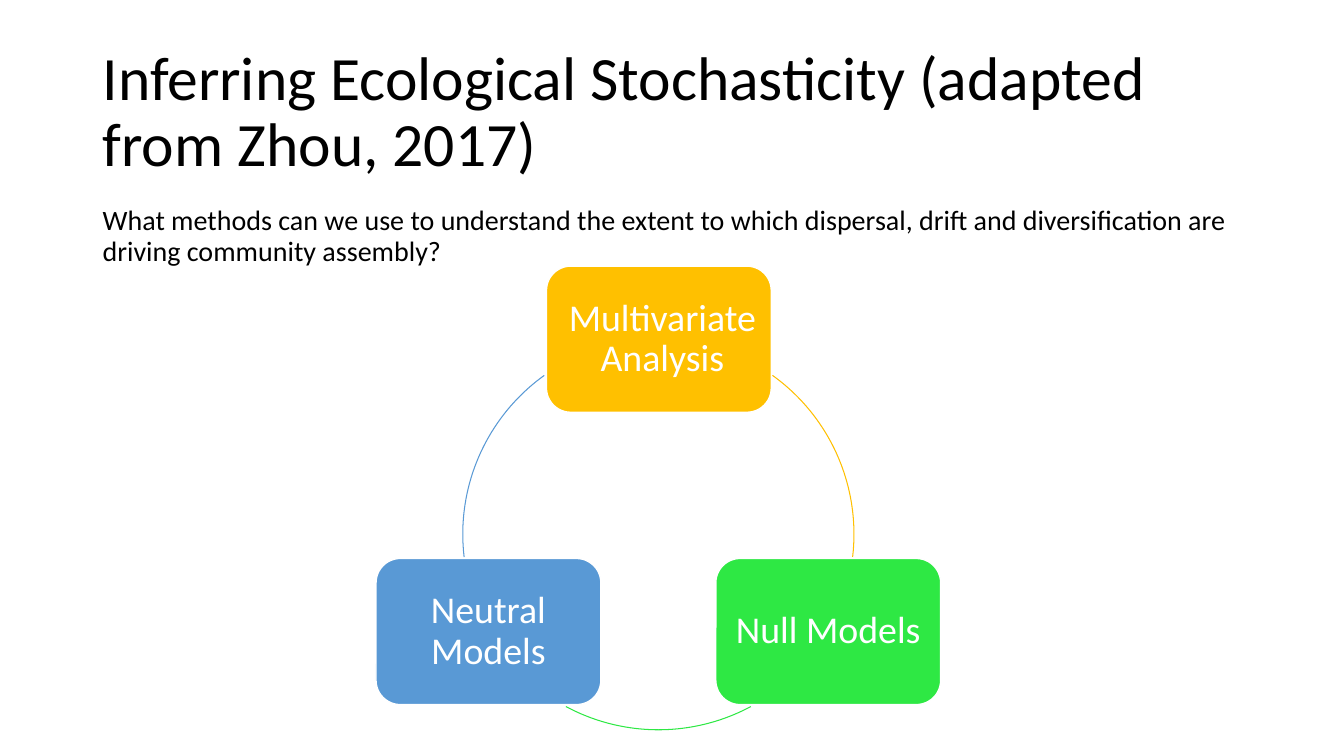
from math import cos, sin, radians
from pptx import Presentation
from pptx.dml.color import RGBColor as Rgb
from pptx.enum.shapes import MSO_SHAPE as Shape
from pptx.enum.text import MSO_ANCHOR as Anchor, PP_ALIGN as Align
from pptx.util import Pt

PX = 9144
THEME = {
    "font": "Calibri", "ink": "000000", "paper": "FFFFFF",
    "gold": "FFC000", "green": "2EE844", "blue": "5999D5",
    "title": 44, "body": 20, "label": 27, "edge": 1, "arc": 0.75,
}


def write(shape, text, size, ink, align, anchor, pads):
    frame = shape.text_frame
    sides = ("margin_left", "margin_top", "margin_right", "margin_bottom")
    style = {"word_wrap": True, "vertical_anchor": anchor}
    style.update((side, pad * PX) for side, pad in zip(sides, pads))
    for key, val in style.items():
        setattr(frame, key, val)
    para = frame.paragraphs[0]
    para.alignment = align
    para.line_spacing = 0.9
    run = para.add_run()
    run.text = text
    for key, val in {"name": THEME["font"], "size": Pt(size)}.items():
        setattr(run.font, key, val)
    run.font.color.rgb = Rgb.from_string(ink)


def draw(kind, box, line, width):
    shape = slide.shapes.add_shape(kind, *(n * PX for n in box))
    shape.shadow.inherit = False
    shape.line.color.rgb = Rgb.from_string(line)
    shape.line.width = Pt(width)
    return shape


deck = Presentation()
deck.slide_width, deck.slide_height = 1333 * PX, 750 * PX
slide = deck.slides.add_slide(deck.slide_layouts[6])

heads = [
    ("Inferring Ecological Stochasticity (adapted from Zhou, 2017)",
     "title", 40, 145, Anchor.MIDDLE),
    ("What methods can we use to understand the extent to which dispersal, "
     "drift and diversification are driving community assembly?",
     "body", 200, 95, Anchor.TOP),
]
for text, size, top, high, anchor in heads:
    box = slide.shapes.add_textbox(92 * PX, top * PX, 1150 * PX, high * PX)
    write(box, text, THEME[size], THEME["ink"], Align.LEFT, anchor, (10, 5, 10, 5))

MID_X, MID_Y, RADIUS = 653, 530, 194
WIDE, HIGH = 223, 145
ring = (MID_X - RADIUS, MID_Y - RADIUS, 2 * RADIUS, 2 * RADIUS)
nodes = [
    ("Multivariate Analysis", "gold", 4, 305.7, 6.7),
    ("Null Models", "green", 11, 61.8, 118.2),
    ("Neutral Models", "blue", 11, 173.3, 234.3),
]
for step, (text, hue, right, start, end) in enumerate(nodes):
    turn = radians(120 * step - 90)
    left = round(MID_X + RADIUS * cos(turn) - WIDE / 2)
    top = round(MID_Y + RADIUS * sin(turn) - HIGH / 2)
    node = draw(Shape.ROUNDED_RECTANGLE, (left, top, WIDE, HIGH),
                THEME["paper"], THEME["edge"])
    node.fill.solid()
    node.fill.fore_color.rgb = Rgb.from_string(THEME[hue])
    write(node, text, THEME["label"], THEME["paper"], Align.CENTER,
          Anchor.MIDDLE, (11, 11, right, 11))
    arc = draw(Shape.ARC, ring, THEME[hue], THEME["arc"])
    arc.fill.background()
    for spot, angle in enumerate((start, end)):
        arc.adjustments[spot] = angle * 0.6

deck.save("out.pptx")
